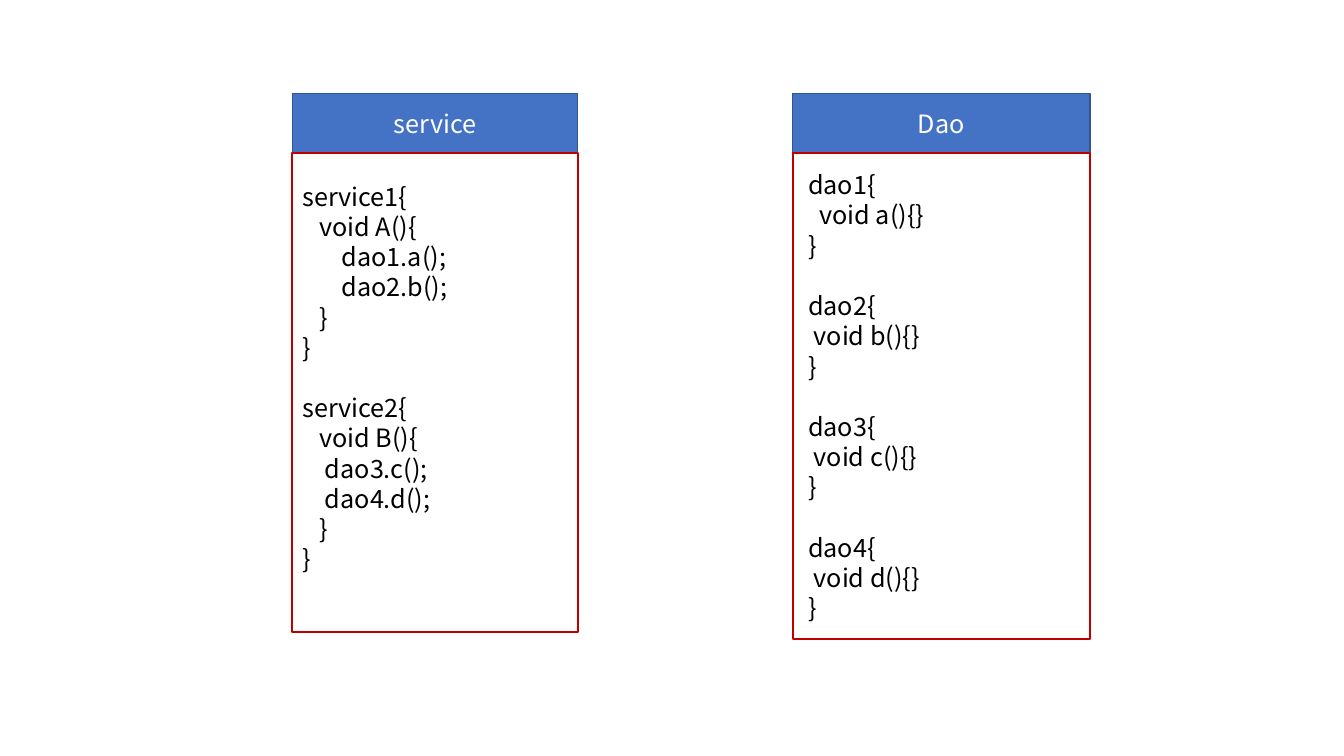
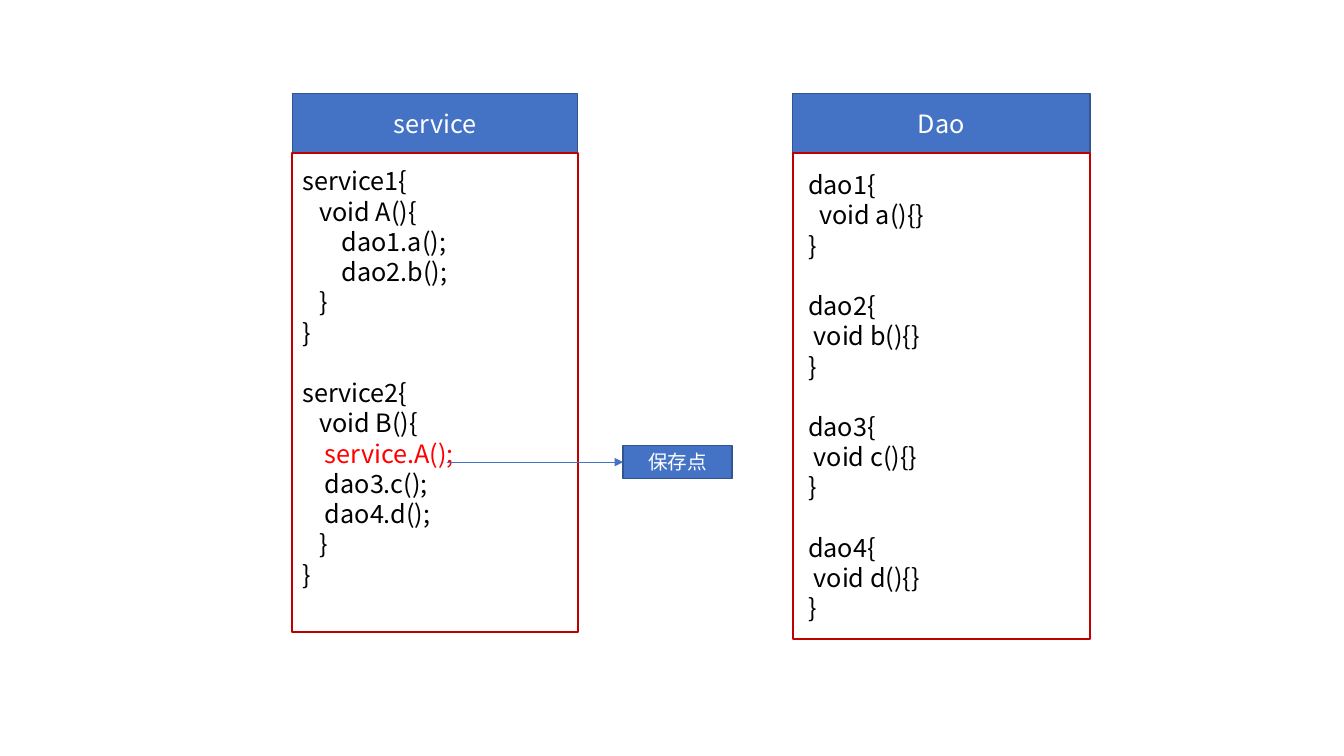
"""Two slides on service and Dao code, the second with a savepoint."""
from dataclasses import dataclass
from typing import Any

from pptx import Presentation
from pptx import util as u
from pptx.dml.color import RGBColor
from pptx.enum import shapes, text
from pptx.oxml import ns
from lxml import etree


@dataclass(frozen=True)
class Theme:
    """Colours, type sizes and line weights shared by the slides."""
    font: str = "Noto Sans CJK SC"
    blue: str = "4472C4"
    navy: str = "325491"
    frame: str = "C00000"
    white: str = "FFFFFF"
    ink: str = "000000"
    accent: str = "FF0000"
    size: float = 18
    small: float = 14
    line_pitch: float = 21.6
    space_width: float = 4.03  # one code space, in points


@dataclass(frozen=True)
class Area:
    """A rectangle in hundredths of the slide's width and height."""
    left: float
    top: float
    width: float
    height: float


@dataclass(frozen=True)
class Line:
    """A line of code, indented by a number of spaces."""
    indent: int
    code: str
    color: str = Theme.ink
    opens_block: bool = False


@dataclass(frozen=True)
class Panel:
    """A headed column of code."""
    title: str
    left: float
    width: float
    body_height: float
    lines: list[Line]
    spare_rows: int = 0  # free rows kept below the code


THEME = Theme()
SLIDE_WIDTH, SLIDE_HEIGHT = u.Inches(13.33), u.Inches(7.5)
HEADER_TOP, HEADER_HEIGHT = 12.4, 7.87
SAVEPOINT = Area(46.36, 58.93, 8.1, 4.4)
CALL_END = 33.23


def across(share: float) -> u.Emu:
    """Turn hundredths of the slide's width into a length."""
    return u.Emu(round(SLIDE_WIDTH * share / 100))


def down(share: float) -> u.Emu:
    """Turn hundredths of the slide's height into a length."""
    return u.Emu(round(SLIDE_HEIGHT * share / 100))


def apply(target: Any, values: dict[str, Any]) -> None:
    """Set every named format value on the target."""
    for name, value in values.items():
        setattr(target, name, value)


def draw_box(slide: Any, area: Area, fill: str, outline: str, weight: float) -> Any:
    """Draw a flat rectangle with middle-anchored text."""
    box = slide.shapes.add_shape(
        shapes.MSO_SHAPE.RECTANGLE, across(area.left), down(area.top),
        across(area.width), down(area.height))
    box.shadow.inherit = False
    box.fill.solid()
    box.fill.fore_color.rgb = RGBColor.from_string(fill)
    box.line.color.rgb = RGBColor.from_string(outline)
    box.line.width = u.Pt(weight)
    apply(box.text_frame, {"word_wrap": True,
                           "vertical_anchor": text.MSO_ANCHOR.MIDDLE})
    return box


def write(paragraph: Any, words: str, size: float, color: str) -> None:
    """Add one run in the theme's font, for Latin and Chinese text."""
    run = paragraph.add_run()
    run.text = words
    apply(run.font, {"name": THEME.font, "size": u.Pt(size)})
    run.font.color.rgb = RGBColor.from_string(color)
    latin = run.font._element.find(ns.qn("a:latin"))
    east_asian = etree.Element(ns.qn("a:ea"), typeface=THEME.font)
    latin.addnext(east_asian)


def draw_label(slide: Any, area: Area, words: str, size: float) -> Any:
    """Draw a blue box with centred white words."""
    label = draw_box(slide, area, THEME.blue, THEME.navy, 1)
    paragraph = label.text_frame.paragraphs[0]
    paragraph.alignment = text.PP_ALIGN.CENTER
    write(paragraph, words, size, THEME.white)
    return label


def draw_panel(slide: Any, panel: Panel) -> None:
    """Draw a panel's header and its framed code."""
    draw_label(slide, Area(panel.left, HEADER_TOP, panel.width, HEADER_HEIGHT),
               panel.title, THEME.size)
    body = draw_box(
        slide, Area(panel.left, HEADER_TOP + HEADER_HEIGHT, panel.width,
                    panel.body_height), THEME.white, THEME.frame, 1.5)
    frame = body.text_frame
    frame.margin_bottom += u.Pt(THEME.line_pitch * panel.spare_rows)
    for index, line in enumerate(panel.lines):
        paragraph = frame.add_paragraph() if index else frame.paragraphs[0]
        gap = THEME.line_pitch if index and line.opens_block else 0
        apply(paragraph, {"alignment": text.PP_ALIGN.LEFT,
                          "line_spacing": u.Pt(THEME.line_pitch),
                          "space_before": u.Pt(gap)})
        properties = paragraph._p.get_or_add_pPr()
        properties.set("marL", str(u.Pt(line.indent * THEME.space_width)))
        properties.set("indent", "0")
        write(paragraph, line.code, THEME.size, line.color)


def draw_savepoint(slide: Any) -> None:
    """Point from the nested call to the savepoint label."""
    middle = down(SAVEPOINT.top + SAVEPOINT.height / 2)
    arrow = slide.shapes.add_connector(
        shapes.MSO_CONNECTOR.STRAIGHT, across(CALL_END), middle,
        across(SAVEPOINT.left), middle)
    arrow.line.color.rgb = RGBColor.from_string(THEME.blue)
    arrow.line.width = u.Pt(0.5)
    properties = arrow._element.spPr
    etree.SubElement(properties.find(ns.qn("a:ln")), ns.qn("a:tailEnd"),
                     type="triangle")
    etree.SubElement(properties, ns.qn("a:effectLst"))
    label = draw_label(slide, SAVEPOINT, "保存点", THEME.small)
    arrow.end_connect(label, 1)


def service_class(name: str, method: str, calls: list[Line]) -> list[Line]:
    """List a service class with one method and its calls."""
    return [Line(0, f"{name}{{", opens_block=True),
            Line(3, f"void {method}(){{"), *calls, Line(3, "}"), Line(0, "}")]


def service_panel(nested_calls: list[Line]) -> Panel:
    """Describe both services, the second starting with nested calls."""
    first = [Line(7, "dao1.a();"), Line(7, "dao2.b();")]
    second = [*nested_calls, Line(4, "dao3.c();"), Line(4, "dao4.d();")]
    return Panel("service", 21.76, 21.23, 63.33,
                 service_class("service1", "A", first)
                 + service_class("service2", "B", second), spare_rows=1)


def dao_panel() -> Panel:
    """Describe the four Dao classes, one method each."""
    lines: list[Line] = []
    for number, method in enumerate("abcd", start=1):
        lines += [Line(1, f"dao{number}{{", opens_block=True),
                  Line(3 if number == 1 else 2, f"void {method}(){{}}"),
                  Line(1, "}")]
    return Panel("Dao", 58.97, 22.13, 64.27, lines)


def main() -> None:
    """Build and save both slides."""
    deck = Presentation()
    apply(deck, {"slide_width": SLIDE_WIDTH, "slide_height": SLIDE_HEIGHT})
    blank = deck.slide_layouts[6]
    nested = [Line(4, "service.A();", THEME.accent)]
    for nested_calls in ([], nested):
        slide = deck.slides.add_slide(blank)
        for panel in (service_panel(nested_calls), dao_panel()):
            draw_panel(slide, panel)
        if nested_calls:
            draw_savepoint(slide)
    deck.save("out.pptx")


main()
